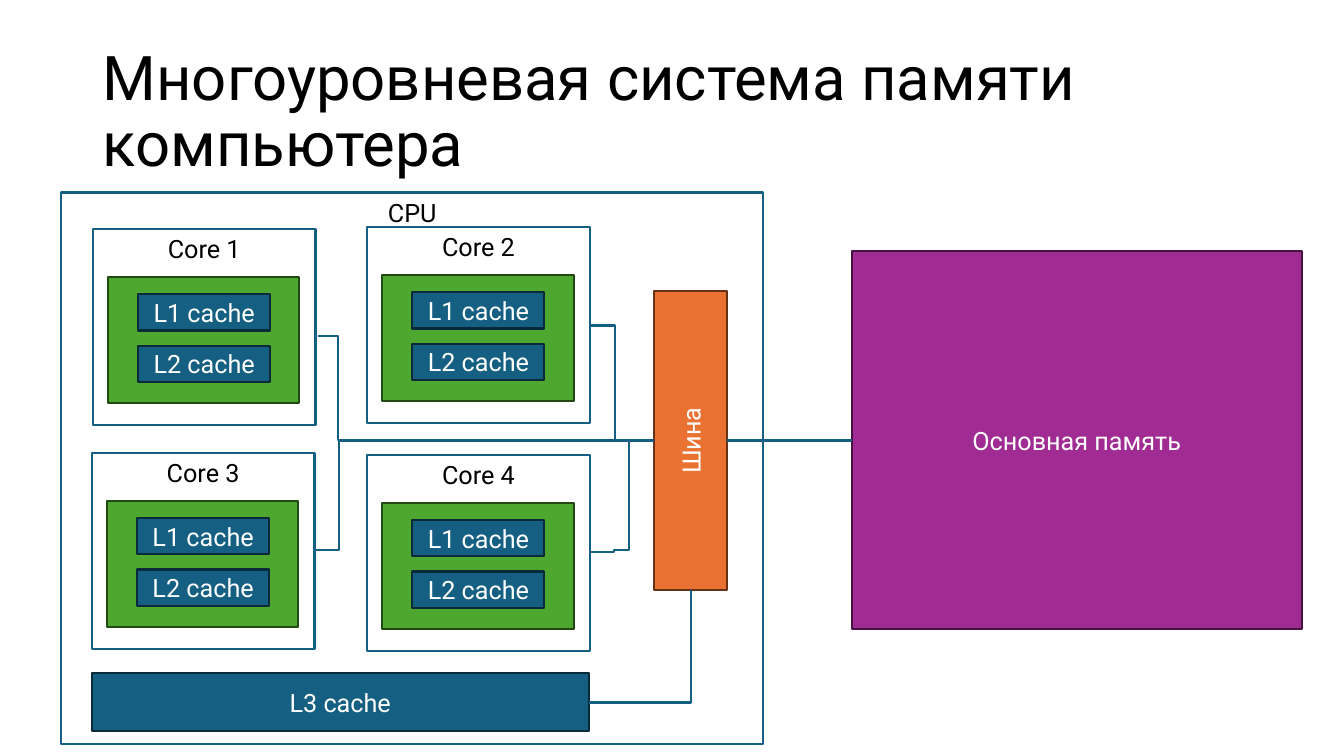
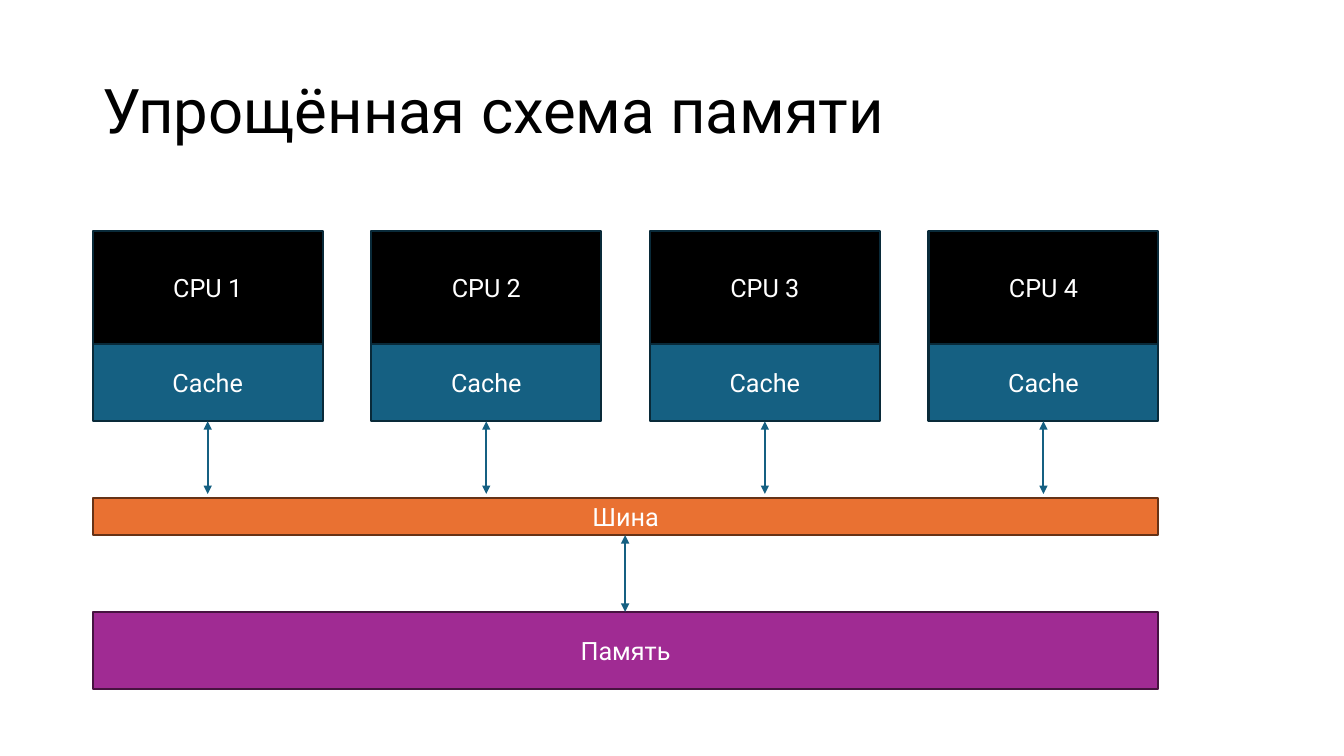
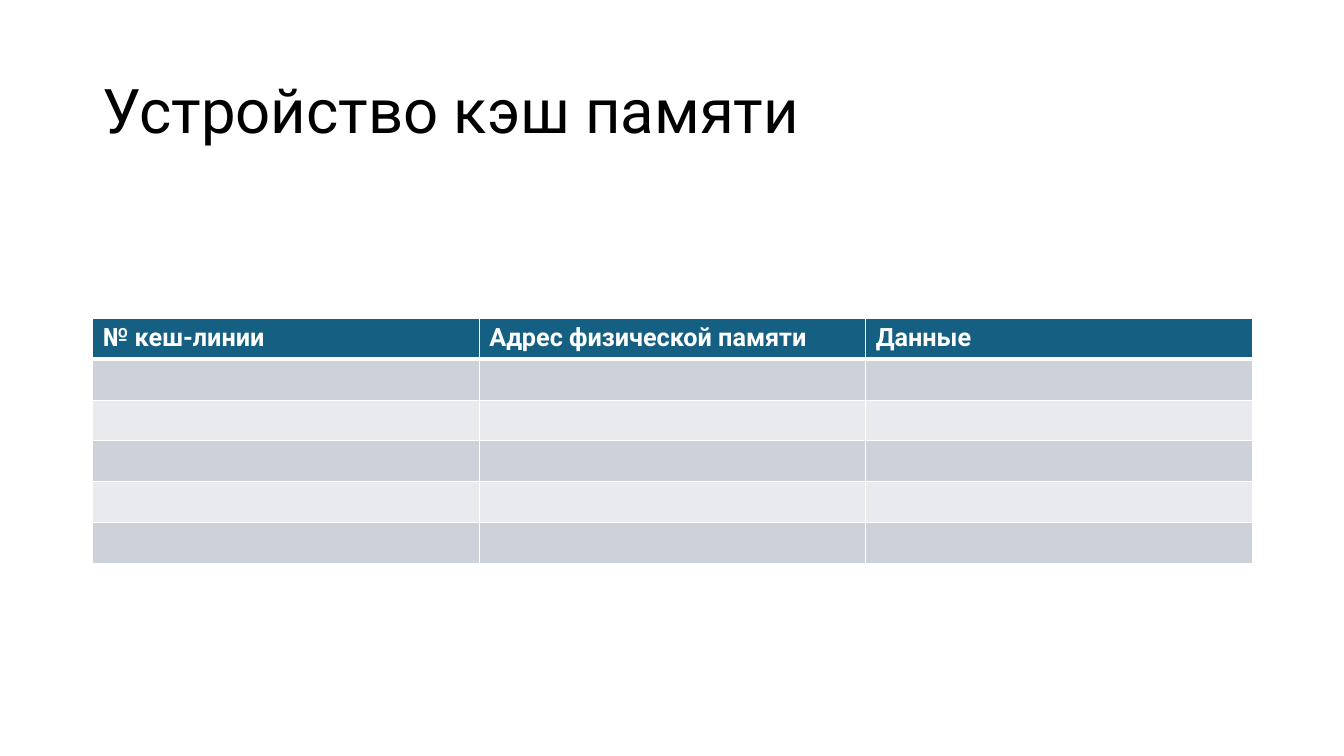
import pptx
import pptx.util
import pptx.dml.color
import pptx.enum.shapes
import pptx.enum.text
import pptx.oxml.ns
import lxml.etree

Inches = pptx.util.Inches
Pt = pptx.util.Pt
colour = pptx.dml.color.RGBColor.from_string
qn = pptx.oxml.ns.qn
ANCHOR = pptx.enum.text.MSO_ANCHOR
CONNECTOR = pptx.enum.shapes.MSO_CONNECTOR

FONT = "Roboto"
WHITE, BLACK = "FFFFFF", "000000"
BLUE, NAVY = "156082", "092A39"
GREEN, DARK_GREEN = "4EA72E", "224914"
ORANGE, BROWN = "E97132", "663216"
PURPLE, DARK_PURPLE = "A02B93", "461340"


def add_box(shapes, left, top, width, height, fill, outline, label="",
            ink=WHITE, anchor=ANCHOR.MIDDLE):
    box = shapes.add_shape(pptx.enum.shapes.MSO_SHAPE.RECTANGLE, Inches(left),
                           Inches(top), Inches(width), Inches(height))
    box.shadow.inherit = False
    box.fill.solid()
    box.fill.fore_color.rgb = colour(fill)
    box.line.color.rgb = colour(outline)
    box.line.width = Pt(1.5)
    if label:
        box.text_frame.text = label
        box.text_frame.vertical_anchor = anchor
        paragraph = box.text_frame.paragraphs[0]
        paragraph.alignment = pptx.enum.text.PP_ALIGN.CENTER
        paragraph.font.name = FONT
        paragraph.font.size = Pt(18)
        paragraph.font.color.rgb = colour(ink)
    return box


def add_link(shapes, start, end, bends=None, adjustments=(), arrows=False):
    """Join two points: straight, or an elbow of 2, 3 or 5 segments."""
    kind = CONNECTOR.ELBOW if bends else CONNECTOR.STRAIGHT
    link = shapes.add_connector(kind, *[Inches(value) for value in start + end])
    link.line.color.rgb = colour(BLUE)
    link.line.width = Pt(1.5)
    properties = link._element.spPr
    lxml.etree.SubElement(properties, qn("a:effectLst"))
    if bends:
        geometry = properties.find(qn("a:prstGeom"))
        geometry.set("prst", f"bentConnector{bends}")
        guides = geometry.find(qn("a:avLst"))
        for number, share in enumerate(adjustments, 1):
            # A lone guide is called adj1 as well
            lxml.etree.SubElement(guides, qn("a:gd"), name=f"adj{number}",
                                  fmla=f"val {round(share * 100000)}")
    if arrows:
        for tip in ("a:headEnd", "a:tailEnd"):
            lxml.etree.SubElement(properties.find(qn("a:ln")), qn(tip),
                                  type="triangle")


deck = pptx.Presentation()
deck.slide_width, deck.slide_height = Inches(13.33), Inches(7.5)

# Slides with their titles
slides = []
for heading in ("Многоуровневая система памяти компьютера",
                "Упрощённая схема памяти",
                "Устройство кэш памяти"):
    slide = deck.slides.add_slide(deck.slide_layouts[6])
    title = slide.shapes.add_textbox(Inches(0.92), Inches(0.4),
                                     Inches(11.5), Inches(1.45))
    title.text_frame.word_wrap = True
    title.text_frame.vertical_anchor = ANCHOR.MIDDLE
    title.text_frame.text = heading
    title_line = title.text_frame.paragraphs[0]
    title_line.line_spacing = 0.9
    title_line.font.name = FONT
    title_line.font.size = Pt(44)
    title_line.font.color.rgb = colour(BLACK)
    slides.append(slide)
hierarchy, scheme, cache_layout = [slide.shapes for slide in slides]

# Slide 1: processor, main memory and shared cache
add_box(hierarchy, 0.61, 1.91, 6.96, 5.47, WHITE, BLUE, "CPU", BLACK, ANCHOR.TOP)
add_box(hierarchy, 8.45, 2.49, 4.46, 3.75, PURPLE, DARK_PURPLE, "Основная память")
add_box(hierarchy, 0.91, 6.68, 4.93, 0.57, BLUE, NAVY, "L3 cache")

# Cores, each with two caches
core_corners = [(0.92, 2.27), (3.64, 2.25), (0.91, 4.49), (3.64, 4.51)]
for number, (left, top) in enumerate(core_corners, 1):
    core = hierarchy.add_group_shape().shapes
    add_box(core, left, top, 2.21, 1.95, WHITE, BLUE, f"Core {number}", BLACK,
            ANCHOR.TOP)
    add_box(core, left + 0.15, top + 0.48, 1.9, 1.25, GREEN, DARK_GREEN)
    for level in (1, 2):
        add_box(core, left + 0.45, top + 0.14 + 0.51 * level, 1.31, 0.36,
                BLUE, NAVY, f"L{level} cache")

# Bus and its links
bus = add_box(hierarchy, 5.37, 4.01, 2.96, 0.72, ORANGE, BROWN, "Шина")
bus.rotation = 270
bus_left, bus_right = (6.49, 4.37), (7.21, 4.37)
add_link(hierarchy, (5.84, 6.97), (6.85, 5.85), 2)
add_link(hierarchy, bus_right, (8.45, 4.37), 3)
add_link(hierarchy, bus_left, (3.15, 3.33), 3, [0.939])
add_link(hierarchy, (5.85, 3.23), bus_left, 5, [0.388, 0.497, 0.391])
add_link(hierarchy, bus_left, (3.12, 5.46), 3, [0.928])
add_link(hierarchy, bus_left, (5.84, 5.48), 5, [0.386, 0.979, 0.614])

# Slide 2: processors with caches above the bus and the memory
for index in range(4):
    left = 0.92 + 2.763 * index
    add_box(scheme, left, 2.29, 2.28, 1.13, BLACK, NAVY, f"CPU {index + 1}")
    add_box(scheme, left, 3.41, 2.28, 0.77, BLUE, NAVY, "Cache")
    middle = left + 2.28 / 2
    add_link(scheme, (middle, 4.18), (middle, 4.9), arrows=True)
add_box(scheme, 0.92, 4.94, 10.57, 0.37, ORANGE, BROWN, "Шина")
add_box(scheme, 0.92, 6.07, 10.57, 0.77, PURPLE, DARK_PURPLE, "Память")
add_link(scheme, (6.2, 6.07), (6.2, 5.31), arrows=True)

# Slide 3: table of cache lines
headers = ["№ кеш-линии", "Адрес физической памяти", "Данные"]
cache_lines = cache_layout.add_table(6, len(headers), Inches(0.92), Inches(3.16),
                                     Inches(11.5), Inches(2.43)).table
for row_number, row in enumerate(cache_lines.rows):
    for column, cell in enumerate(row.cells):
        for side in "LRTB":
            thick = (row_number, side) in ((0, "B"), (1, "T"))
            border = lxml.etree.SubElement(cell._tc.get_or_add_tcPr(),
                                           qn(f"a:ln{side}"),
                                           w=str(Pt(3 if thick else 1)))
            paint = lxml.etree.SubElement(border, qn("a:solidFill"))
            lxml.etree.SubElement(paint, qn("a:srgbClr"), val=WHITE)
        cell.fill.solid()
        if row_number == 0:
            cell.fill.fore_color.rgb = colour(BLUE)
            cell.text = headers[column]
            label = cell.text_frame.paragraphs[0]
            label.font.name = FONT
            label.font.size = Pt(18)
            label.font.bold = True
            label.font.color.rgb = colour(WHITE)
        else:
            cell.fill.fore_color.rgb = colour("CCD2D8" if row_number % 2 else "E8EAED")

deck.save("out.pptx")
